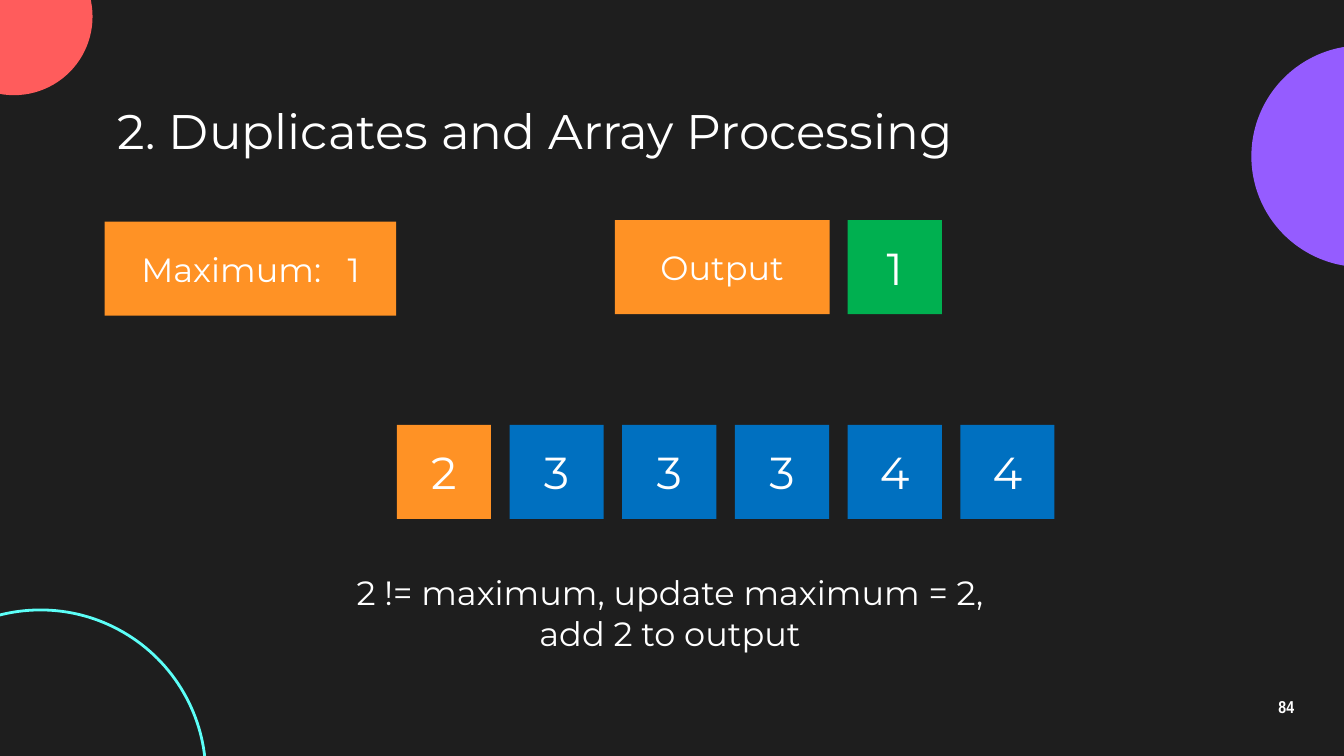
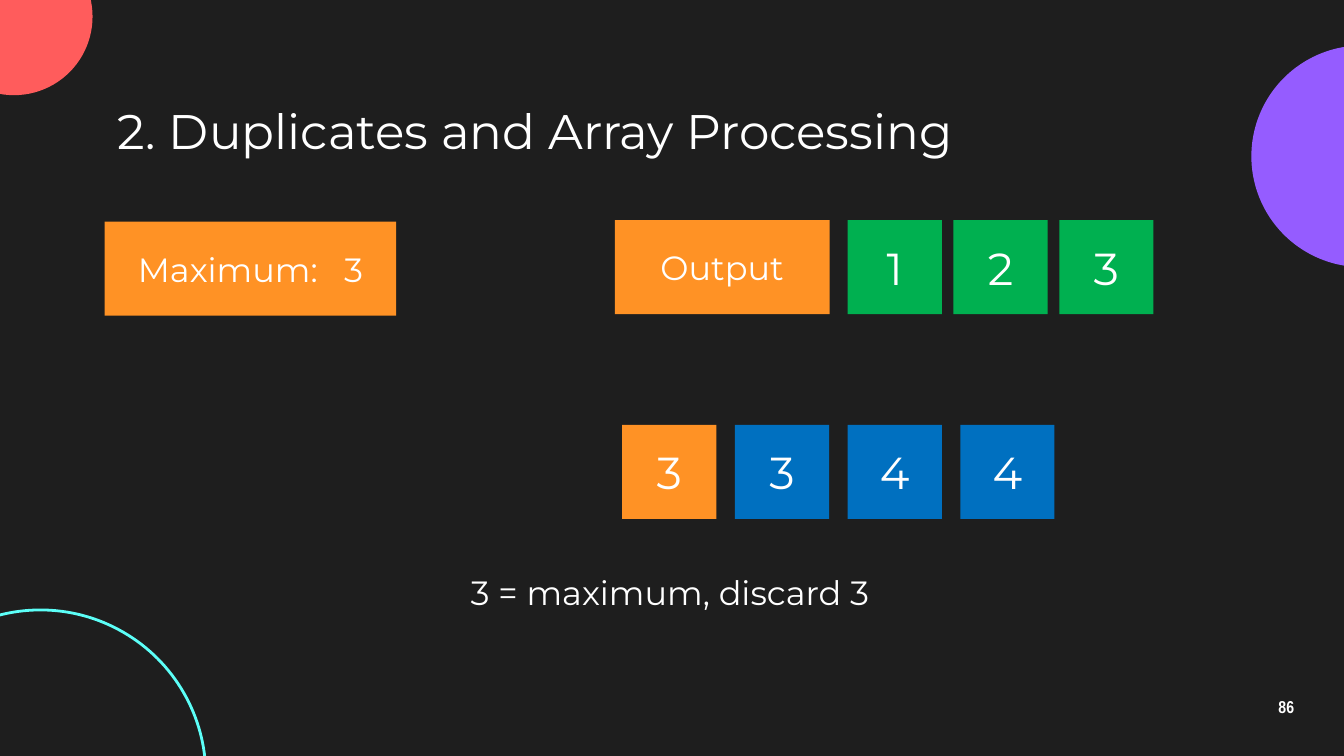
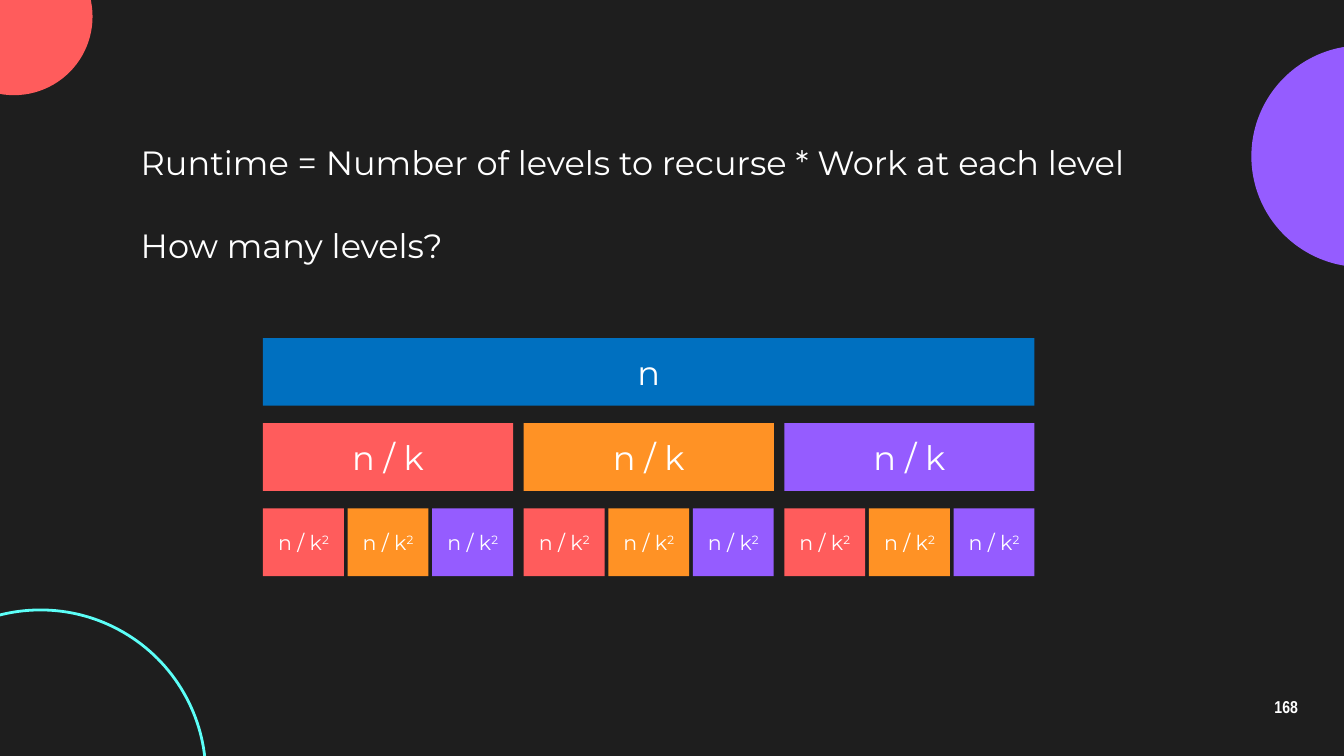
from pptx import Presentation
from pptx.dml.color import RGBColor
from pptx.enum.shapes import MSO_SHAPE as SHAPE
from pptx.enum.text import MSO_ANCHOR as ANCHOR, MSO_AUTO_SIZE as AUTO, PP_ALIGN as ALIGN
from pptx.util import Cm, Pt

DARK, WHITE = "1E1E1E", "FFFFFF"
PURPLE, RED, CYAN = "955CFF", "FF5C5C", "5CFFF8"
ORANGE, BLUE, GREEN = "FF9225", "0070C0", "00B050"
BRANCHES = (RED, ORANGE, PURPLE)
TITLE_ONLY, BLANK = 5, 6
CELL = 1.78
WIDE_SPACE = (" ", {"spc": "940"})
SQUARED = ("2", {"baseline": "30000"})


def rgb(hex_string):
    return RGBColor.from_string(hex_string)


class Deck:
    font = {"name": "Montserrat", "size": Pt(18), "bold": False}
    number_font = {"name": "Arial Narrow", "size": Pt(9.2), "bold": True}
    inset = Cm(0.25)

    def __init__(self):
        self.prs = Presentation()
        self.prs.slide_width, self.prs.slide_height = Cm(25.4), Cm(14.29)
        fill = self.prs.slide_master.background.fill
        fill.solid()
        fill.fore_color.rgb = rgb(DARK)
        self.s = None

    def new_slide(self, number, layout):
        self.s = self.prs.slides.add_slide(self.prs.slide_layouts[layout])
        self.circle(23.65, 0.86, 4.19, fill=PURPLE)
        self.circle(-1.22, -1.17, 2.97, fill=RED)
        self.circle(-2.36, 11.53, 6.25, line=CYAN)
        sp = self.text(23.55, 12.95, 1.52, 0.86, str(number), ALIGN.CENTER,
                       ANCHOR.MIDDLE, self.number_font)
        sp.text_frame.paragraphs[0].line_spacing = 0.9

    def put_text(self, sp, parts, align, anchor, font):
        """Fill a shape with one paragraph; parts is a string or (text, run attributes) pairs."""
        tf = sp.text_frame
        tf.word_wrap, tf.vertical_anchor = True, anchor
        p = tf.paragraphs[0]
        p.alignment = align
        for text, attributes in [(parts, {})] if isinstance(parts, str) else parts:
            r = p.add_run()
            r.text = text
            for key, value in {**self.font, **font}.items():
                setattr(r.font, key, value)
            r.font.color.rgb = rgb(WHITE)
            for key, value in attributes.items():
                r.font._element.set(key, value)

    def pad(self, sp):
        for side in ("left", "top", "right", "bottom"):
            setattr(sp.text_frame, f"margin_{side}", self.inset)

    def shape(self, kind, x, y, w, h, fill=None, line=None):
        sp = self.s.shapes.add_shape(kind, Cm(x), Cm(y), Cm(w), Cm(h))
        sp.shadow.inherit = False
        if fill:
            sp.fill.solid()
            sp.fill.fore_color.rgb = rgb(fill)
        else:
            sp.fill.background()
        if line:
            sp.line.color.rgb, sp.line.width = rgb(line), Pt(1.5)
        else:
            sp.line.fill.background()
        return sp

    def circle(self, x, y, size, **colors):
        self.shape(SHAPE.OVAL, x, y, size, size, **colors)

    def box(self, x, y, w, h, fill, parts, size=18):
        sp = self.shape(SHAPE.RECTANGLE, x, y, w, h, fill)
        self.put_text(sp, parts, ALIGN.CENTER, ANCHOR.MIDDLE, {"size": Pt(size)})

    def cells(self, x, y, pitch, values, fills):
        for i, (value, fill) in enumerate(zip(values, fills)):
            self.box(x + i * pitch, y, CELL, CELL, fill, str(value), 24)

    def text(self, x, y, w, h, parts, align=ALIGN.LEFT, anchor=ANCHOR.TOP, font={}):
        sp = self.s.shapes.add_textbox(Cm(x), Cm(y), Cm(w), Cm(h))
        self.put_text(sp, parts, align, anchor, font)
        self.pad(sp)
        return sp

    def caption(self, text, h):
        sp = self.s.shapes.add_textbox(Cm(6.3), Cm(10.69), Cm(12.73), Cm(h))
        self.put_text(sp, text, ALIGN.CENTER, ANCHOR.TOP, {})
        sp.text_frame.auto_size = AUTO.SHAPE_TO_FIT_TEXT

    def title(self, text):
        sp = self.s.shapes.title
        place = {"left": 1.98, "top": 1.8, "width": 21.44, "height": 1.3}
        for key, value in place.items():
            setattr(sp, key, Cm(value))
        self.put_text(sp, text, ALIGN.LEFT, ANCHOR.MIDDLE, {"size": Pt(26)})
        sp.text_frame.auto_size = AUTO.NONE
        self.pad(sp)


def array_slide(deck, number, maximum, output, remaining, caption, caption_height):
    deck.new_slide(number, TITLE_ONLY)
    deck.title("2. Duplicates and Array Processing")
    last_x, pitch = 18.15, 2.13
    first_x = last_x - (len(remaining) - 1) * pitch
    deck.cells(first_x, 8.03, pitch, remaining, [ORANGE] + [BLUE] * (len(remaining) - 1))
    deck.cells(16.02, 4.16, 2, output, [GREEN] * len(output))
    deck.box(1.98, 4.19, 5.51, CELL, ORANGE,
             [("Maximum:", {}), WIDE_SPACE, (str(maximum), {})])
    deck.box(11.62, 4.16, 4.06, CELL, ORANGE, "Output")
    deck.caption(caption, caption_height)


def split(x, w, gap):
    """Yield left edge, width and colour of each branch of a bar."""
    part = (w - gap * (len(BRANCHES) - 1)) / len(BRANCHES)
    for i, color in enumerate(BRANCHES):
        yield x + i * (part + gap), part, color


def recursion_slide(deck, number):
    deck.new_slide(number, BLANK)
    deck.text(2.41, 2.44, 21.97, 1.3,
              "Runtime = Number of levels to recurse * Work at each level")
    deck.text(2.41, 4.01, 21.97, 1.3, "How many levels?")
    left, width, height = 4.97, 14.58, 1.28
    top, middle, bottom = (6.39 + level * 1.61 for level in range(3))
    deck.box(left, top, width, height, BLUE, "n")
    for x, w, color in split(left, width, 0.2):
        deck.box(x, middle, w, height, color, "n / k")
        for sub_x, sub_w, sub_color in split(x, w, 0.07):
            deck.box(sub_x, bottom, sub_w, height, sub_color, [("n / k", {}), SQUARED], 11)


def main():
    deck = Deck()
    array_slide(deck, 84, 1, [1], [2, 3, 3, 3, 4, 4],
                "2 != maximum, update maximum = 2, add 2 to output", 1.8)
    array_slide(deck, 86, 3, [1, 2, 3], [3, 3, 4, 4], "3 = maximum, discard 3", 1.03)
    recursion_slide(deck, 168)
    deck.prs.save("out.pptx")


if __name__ == "__main__":
    main()
